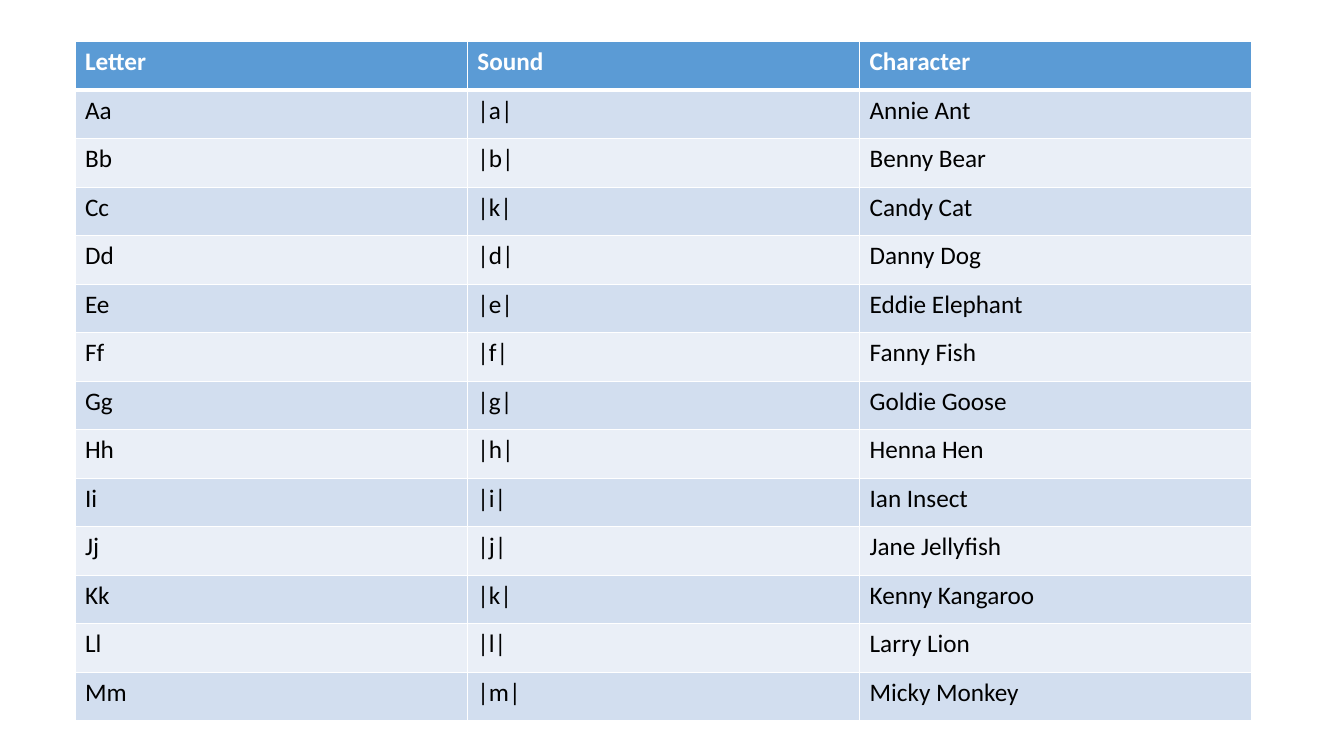
import pptx
import pptx.dml.color
import pptx.oxml
import pptx.oxml.ns
import pptx.util
from pptx.util import Cm

FONT = "Calibri"
WHITE, BLACK = "FFFFFF", "000000"
HEADER_FILL = "5B9BD5"
BAND_FILLS = ["D2DEEF", "EAEFF7"]

HEADINGS = ("Letter", "Sound", "Character")
ALPHABET = [
    ("Aa", "|a|", "Annie Ant"),
    ("Bb", "|b|", "Benny Bear"),
    ("Cc", "|k|", "Candy Cat"),
    ("Dd", "|d|", "Danny Dog"),
    ("Ee", "|e|", "Eddie Elephant"),
    ("Ff", "|f|", "Fanny Fish"),
    ("Gg", "|g|", "Goldie Goose"),
    ("Hh", "|h|", "Henna Hen"),
    ("Ii", "|i|", "Ian Insect"),
    ("Jj", "|j|", "Jane Jellyfish"),
    ("Kk", "|k|", "Kenny Kangaroo"),
    ("Ll", "|l|", "Larry Lion"),
    ("Mm", "|m|", "Micky Monkey"),
]


def color(hex_text):
    return pptx.dml.color.RGBColor.from_string(hex_text)


def set_borders(cell, top, bottom):
    """Draw white borders; the top and bottom widths are in points."""
    properties = cell._tc.get_or_add_tcPr()
    widths = {"lnL": 1, "lnR": 1, "lnT": top, "lnB": bottom}
    # Border elements must come before the fill
    for position, (side, width) in enumerate(widths.items()):
        line = pptx.oxml.parse_xml(
            f'<a:{side} {pptx.oxml.ns.nsdecls("a")} w="{pptx.util.Pt(width)}">'
            f'<a:solidFill><a:srgbClr val="{WHITE}"/></a:solidFill></a:{side}>'
        )
        properties.insert(position, line)


def fill_cell(cell, text, fill, text_color, bold):
    cell.fill.solid()
    cell.fill.fore_color.rgb = color(fill)
    span = cell.text_frame.paragraphs[0].add_run()
    span.text = text
    span.font.name = FONT
    span.font.size = pptx.util.Pt(18)
    span.font.bold = bold
    span.font.color.rgb = color(text_color)


def add_letter_table(page, left, top, width, height):
    rows = [HEADINGS] + ALPHABET
    frame = page.shapes.add_table(len(rows), len(HEADINGS), left, top, width, height)
    table = frame.table

    for row_index, texts in enumerate(rows):
        header = row_index == 0
        fill = HEADER_FILL if header else BAND_FILLS[(row_index - 1) % 2]
        for column_index, text in enumerate(texts):
            cell = table.cell(row_index, column_index)
            fill_cell(cell, text, fill, WHITE if header else BLACK, header)
            # A thick rule separates the header from the letters
            set_borders(cell, top=3 if row_index == 1 else 1, bottom=3 if header else 1)


def main():
    deck = pptx.Presentation()
    deck.slide_width, deck.slide_height = Cm(33.87), Cm(19.05)
    page = deck.slides.add_slide(deck.slide_layouts[6])

    # Letters, sounds and characters
    add_letter_table(page, Cm(1.89), Cm(1.05), Cm(29.66), Cm(17.11))

    deck.save("out.pptx")


if __name__ == "__main__":
    main()
